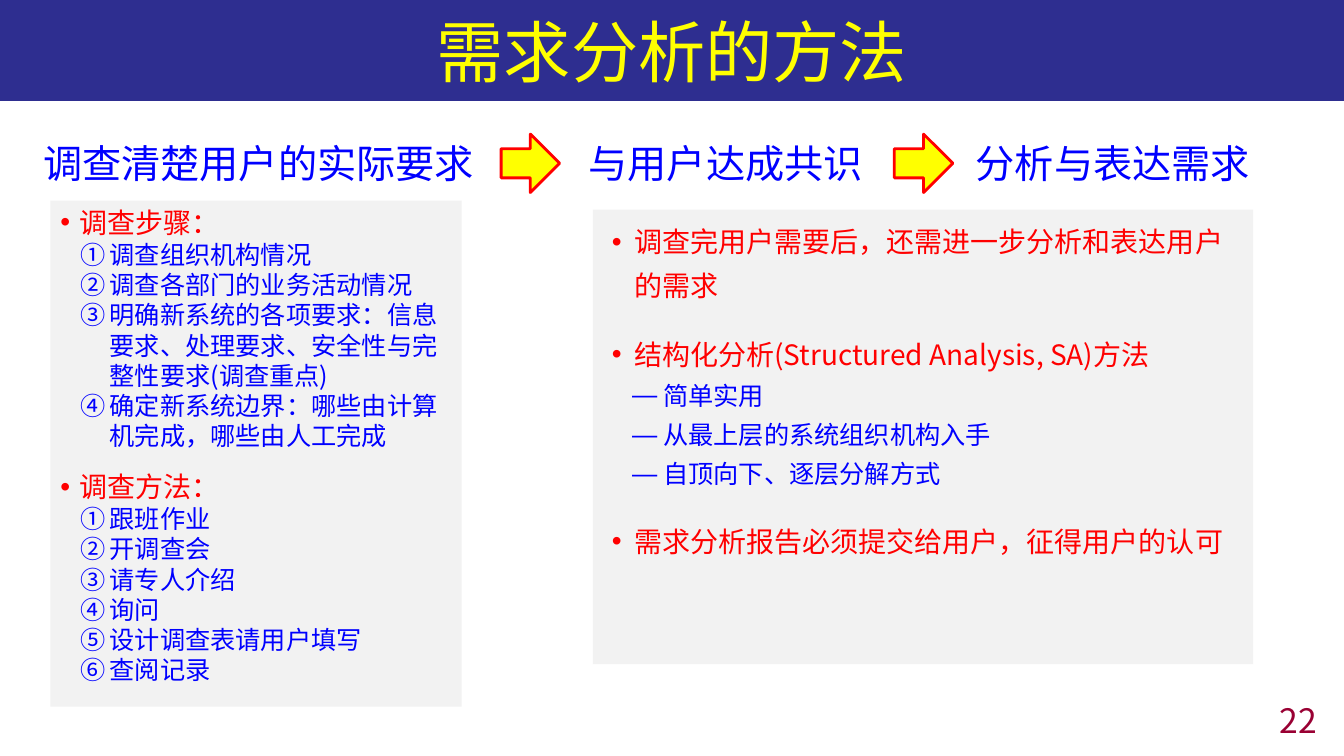
from dataclasses import dataclass

from lxml.etree import SubElement
from pptx import Presentation
from pptx.dml.color import RGBColor
from pptx.enum.shapes import MSO_SHAPE
from pptx.enum.text import MSO_ANCHOR, MSO_AUTO_SIZE, PP_ALIGN
from pptx.oxml.ns import qn
from pptx.shapes.autoshape import Shape
from pptx.slide import Slide
from pptx.text.text import TextFrame, _Paragraph
from pptx.util import Inches, Pt


@dataclass(frozen=True)
class Theme:
    font: str = "Noto Sans CJK SC"
    banner: str = "000078"
    yellow: str = "FFFF00"
    red: str = "FF0000"
    blue: str = "0000FF"
    panel: str = "F2F2F2"
    page_number: str = "990033"
    title_size: int = 48
    stage_size: int = 28
    number_size: int = 24
    topic_size: int = 20
    item_size: int = 18


THEME = Theme()


@dataclass(frozen=True)
class Stage:
    left: float
    width: float
    text: str


@dataclass(frozen=True)
class Topic:
    text: str
    items: tuple[str, ...] = ()


@dataclass(frozen=True)
class Bullet:
    """Indents in inches; an empty character means circled numbers."""
    character: str
    margin: float
    hanging: float


@dataclass(frozen=True)
class Panel:
    left: float
    top: float
    width: float
    height: float
    topics: tuple[Topic, ...]
    topic_bullet: Bullet
    item_bullet: Bullet
    topic_gap: float
    line_spacing: float


STAGE_TOP = 1.33
ARROW_SIZE = 0.58
ARROW_LEFTS = (4.97, 8.87)
STAGES = (
    Stage(0.33, 4.61, "调查清楚用户的实际要求"),
    Stage(5.74, 3.04, "与用户达成共识"),
    Stage(9.58, 2.95, "分析与表达需求"),
)
PANELS = (
    Panel(0.5, 1.99, 4.08, 5.02, (
        Topic("调查步骤：", (
            "调查组织机构情况",
            "调查各部门的业务活动情况",
            "明确新系统的各项要求：信息要求、处理要求、安全性与完整性要求(调查重点)",
            "确定新系统边界：哪些由计算机完成，哪些由人工完成",
        )),
        Topic("调查方法：", (
            "跟班作业", "开调查会", "请专人介绍", "询问",
            "设计调查表请用户填写", "查阅记录",
        )),
    ), Bullet("•", 0.19, 0.19), Bullet("", 0.49, 0.29), 13.5, 1.0),
    Panel(5.88, 2.08, 6.55, 4.51, (
        Topic("调查完用户需要后，还需进一步分析和表达用户的需求"),
        Topic("结构化分析(Structured Analysis, SA)方法", (
            "简单实用", "从最上层的系统组织机构入手", "自顶向下、逐层分解方式",
        )),
        Topic("需求分析报告必须提交给用户，征得用户的认可"),
    ), Bullet("•", 0.31, 0.22), Bullet("—", 0.6, 0.31), 18, 1.3),
)


def write(para: _Paragraph, text: str, *, size: float, color: str,
          align: PP_ALIGN = PP_ALIGN.LEFT) -> None:
    para.alignment = align
    span = para.add_run()
    span.text = text
    span.font.size = Pt(size)
    span.font.name = THEME.font
    span.font.color.rgb = RGBColor.from_string(color)
    SubElement(span.font._element, qn("a:ea"), typeface=THEME.font)


def add_bullet(para: _Paragraph, bullet: Bullet) -> None:
    properties = para._p.get_or_add_pPr()
    properties.set("marL", str(Inches(bullet.margin)))
    properties.set("indent", str(-Inches(bullet.hanging)))
    if bullet.character:
        SubElement(properties, qn("a:buFont"), typeface="Arial")
        SubElement(properties, qn("a:buChar"), char=bullet.character)
    else:
        SubElement(properties, qn("a:buFont"), typeface=THEME.font)
        SubElement(properties, qn("a:buAutoNum"), type="circleNumDbPlain")


def fill_shape(shape: Shape, color: str) -> None:
    shape.shadow.inherit = False
    shape.fill.solid()
    shape.fill.fore_color.rgb = RGBColor.from_string(color)
    shape.line.fill.background()


def add_title(page: Slide, text: str, width: int) -> None:
    title = page.shapes.title
    title.left, title.top, title.width, title.height = 0, 0, width, Inches(1)
    title.fill.solid()
    title.fill.fore_color.rgb = RGBColor.from_string(THEME.banner)
    color = title._element.spPr.find(qn("a:solidFill")).find(qn("a:srgbClr"))
    SubElement(color, qn("a:alpha"), val="82000")
    frame = title.text_frame
    frame.auto_size = MSO_AUTO_SIZE.NONE
    frame.vertical_anchor = MSO_ANCHOR.MIDDLE
    write(frame.paragraphs[0], text, size=THEME.title_size,
          color=THEME.yellow, align=PP_ALIGN.CENTER)


def add_text(page: Slide, left: float, top: float, width: float,
             height: float) -> TextFrame:
    box = page.shapes.add_textbox(
        Inches(left), Inches(top), Inches(width), Inches(height))
    return box.text_frame


def add_stage(page: Slide, stage: Stage) -> None:
    frame = add_text(page, stage.left, STAGE_TOP, stage.width, 0.57)
    frame.word_wrap = False
    write(frame.paragraphs[0], stage.text, size=THEME.stage_size, color=THEME.blue)


def add_arrow(page: Slide, left: float) -> None:
    arrow = page.shapes.add_shape(
        MSO_SHAPE.RIGHT_ARROW, Inches(left), Inches(STAGE_TOP),
        Inches(ARROW_SIZE), Inches(ARROW_SIZE))
    fill_shape(arrow, THEME.yellow)
    arrow.line.color.rgb = RGBColor.from_string(THEME.red)
    arrow.line.width = Pt(2)


def add_panel(page: Slide, panel: Panel) -> None:
    box = page.shapes.add_shape(
        MSO_SHAPE.RECTANGLE, Inches(panel.left), Inches(panel.top),
        Inches(panel.width), Inches(panel.height))
    fill_shape(box, THEME.panel)
    frame = box.text_frame
    frame.word_wrap = True
    frame.vertical_anchor = MSO_ANCHOR.TOP
    for index, topic in enumerate(panel.topics):
        para = frame.add_paragraph() if index else frame.paragraphs[0]
        para.line_spacing = panel.line_spacing
        para.space_before = Pt(panel.topic_gap if index else 0)
        add_bullet(para, panel.topic_bullet)
        write(para, topic.text, size=THEME.topic_size, color=THEME.red)
        for item in topic.items:
            para = frame.add_paragraph()
            para.line_spacing = panel.line_spacing
            add_bullet(para, panel.item_bullet)
            write(para, item, size=THEME.item_size, color=THEME.blue)


def add_page_number(page: Slide, number: int) -> None:
    frame = add_text(page, 10.33, 6.99, 2.83, 0.31)
    frame.word_wrap = True
    frame.vertical_anchor = MSO_ANCHOR.MIDDLE
    write(frame.paragraphs[0], str(number), size=THEME.number_size,
          color=THEME.page_number, align=PP_ALIGN.RIGHT)


def main() -> None:
    deck = Presentation()
    deck.slide_width, deck.slide_height = Inches(13.33), Inches(7.5)
    page = deck.slides.add_slide(deck.slide_layouts[5])
    add_title(page, "需求分析的方法", deck.slide_width)
    for stage in STAGES:
        add_stage(page, stage)
    for left in ARROW_LEFTS:
        add_arrow(page, left)
    for panel in PANELS:
        add_panel(page, panel)
    add_page_number(page, 22)
    deck.save("out.pptx")


if __name__ == "__main__":
    main()
